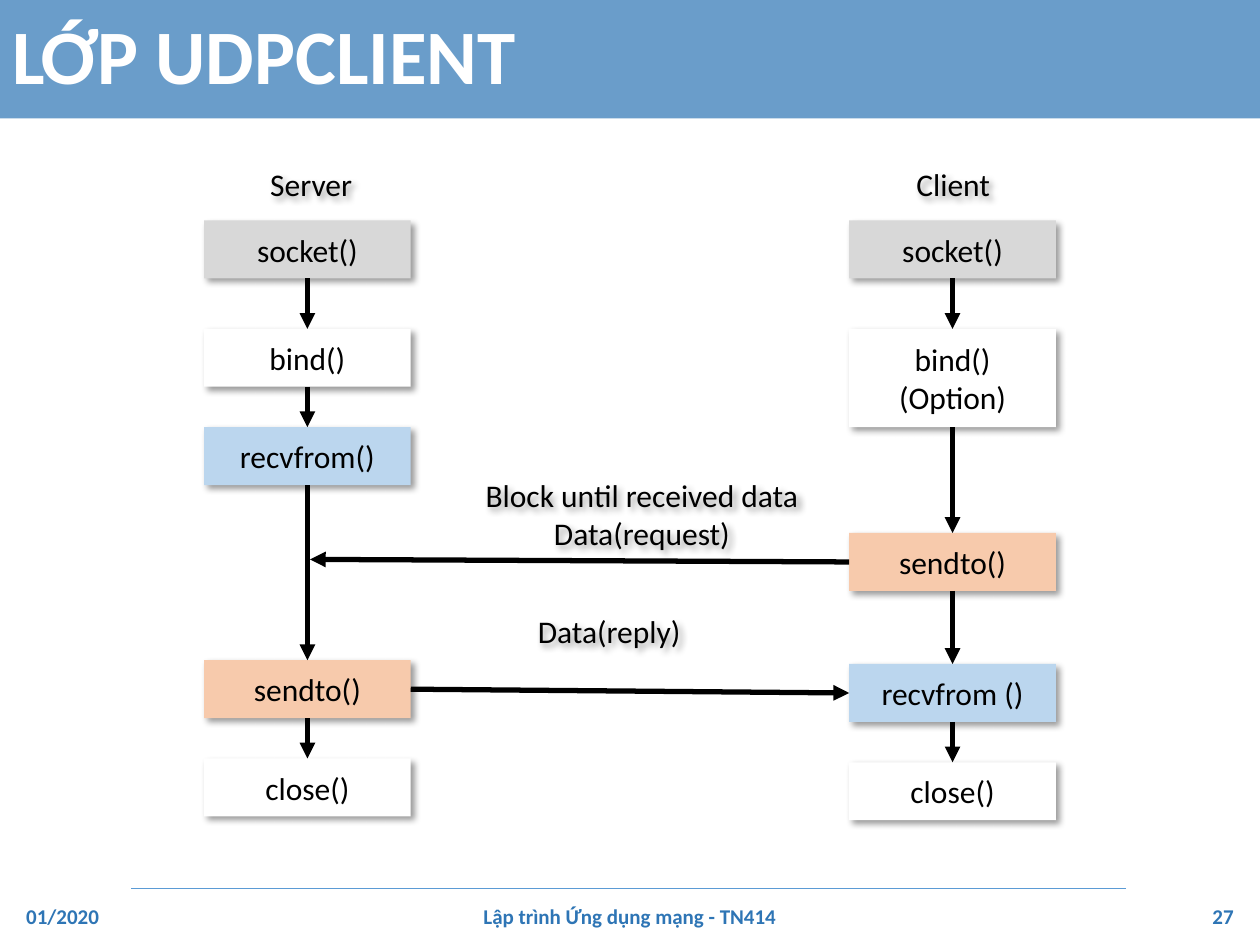
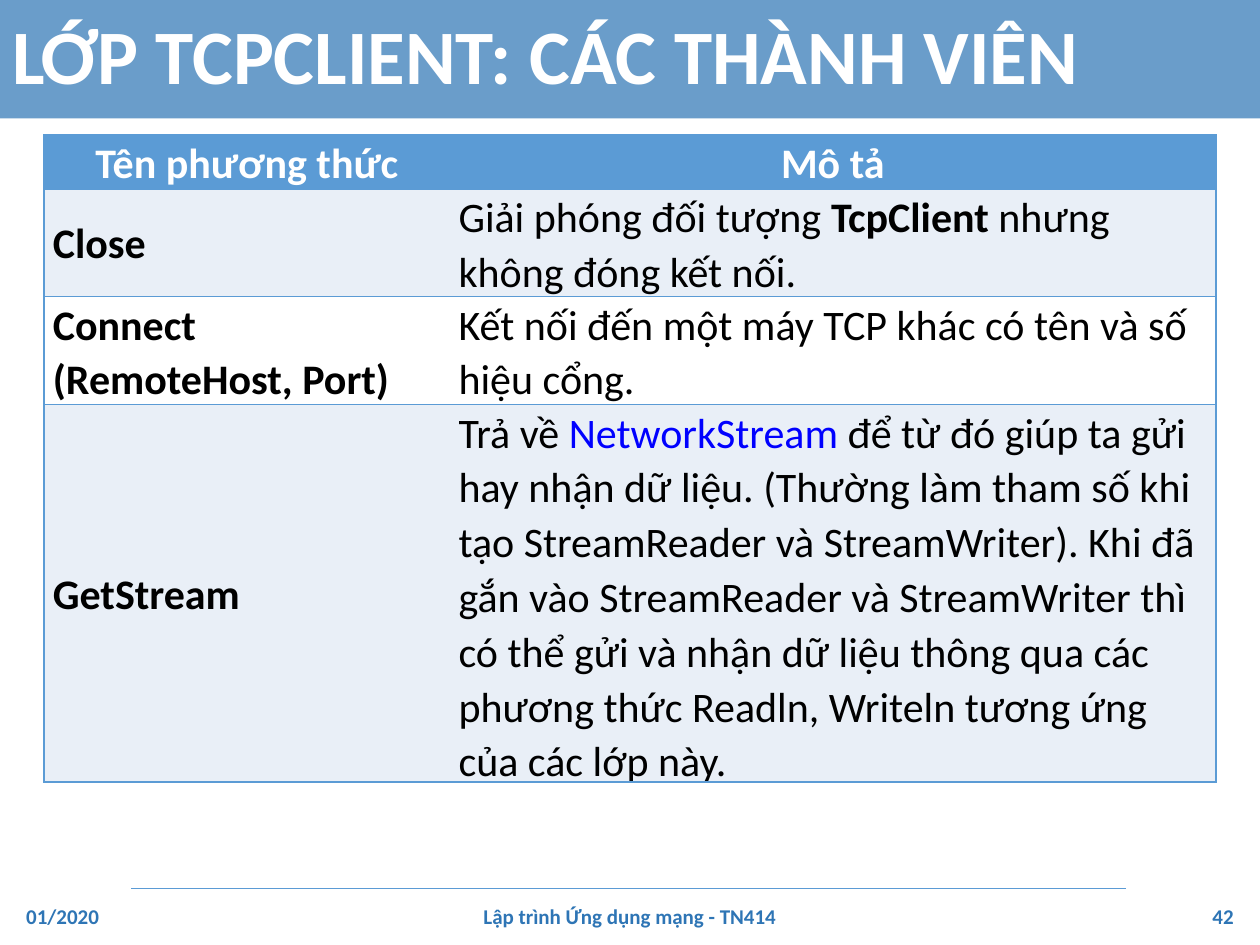
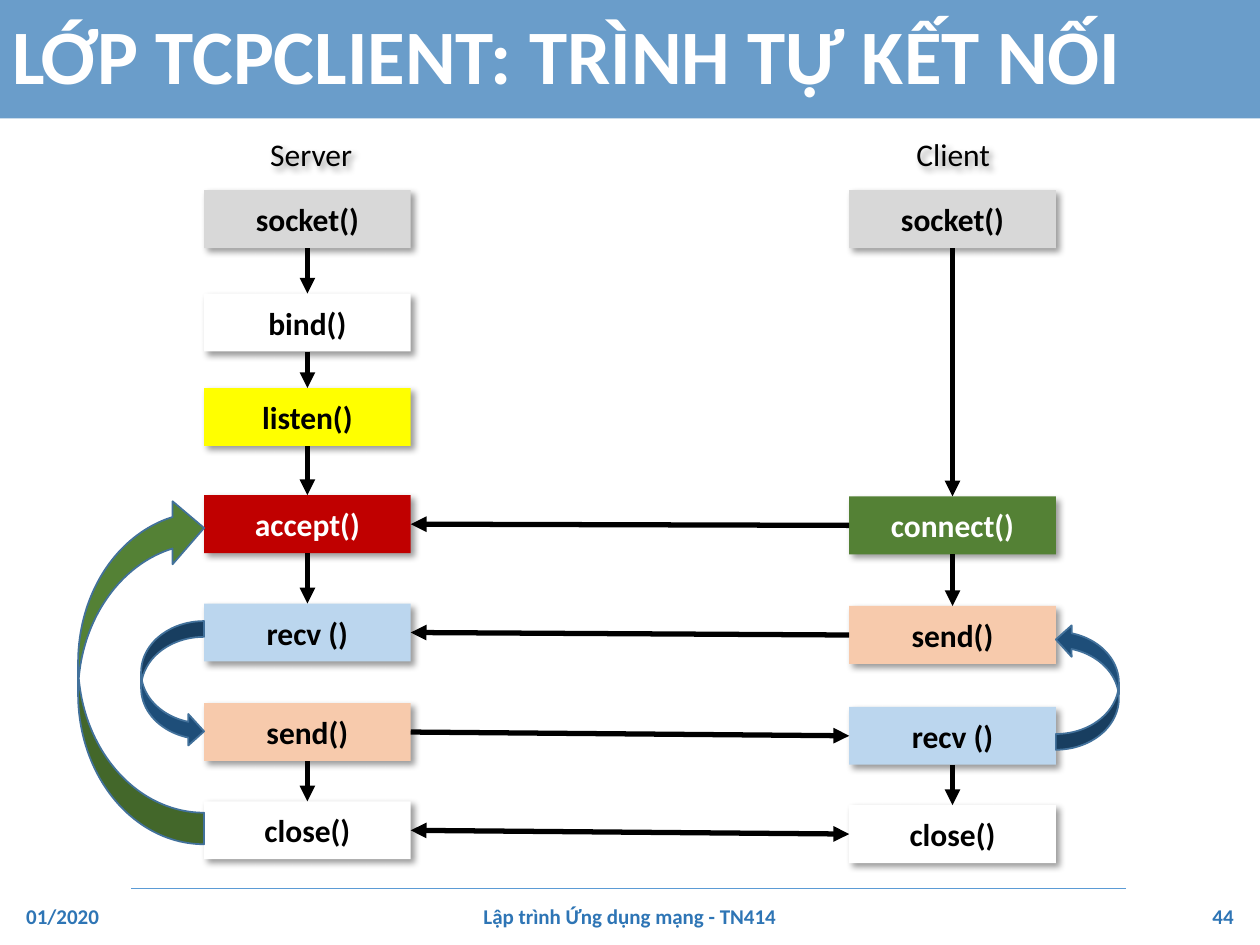
from lxml.etree import SubElement
from pptx import Presentation
from pptx.dml.color import RGBColor
from pptx.enum.shapes import MSO_CONNECTOR, MSO_SHAPE
from pptx.enum.text import MSO_ANCHOR, MSO_AUTO_SIZE, PP_ALIGN
from pptx.oxml.ns import qn
from pptx.util import Inches, Pt

FONT = "Calibri"
BLACK = RGBColor(0x00, 0x00, 0x00)
WHITE = RGBColor(0xFF, 0xFF, 0xFF)
BLUE = RGBColor(0x2E, 0x75, 0xB5)
SKY = RGBColor(0x5B, 0x9B, 0xD5)
PALE = RGBColor(0xE9, 0xEF, 0xF7)
LINK = RGBColor(0x00, 0x00, 0xFF)
GREY = RGBColor(0xD8, 0xD8, 0xD8)
ICE = RGBColor(0xBB, 0xD6, 0xEE)
PEACH = RGBColor(0xF7, 0xCA, 0xAC)
YELLOW = RGBColor(0xFF, 0xFF, 0x00)
RED = RGBColor(0xC0, 0x00, 0x00)
GREEN = RGBColor(0x54, 0x81, 0x35)
NAVY = RGBColor(0x1E, 0x4E, 0x79)
EDGE = RGBColor(0x42, 0x71, 0x9B)

TOP, LEFT, BOTTOM, RIGHT = range(4)
SERVER, CLIENT = 1.62, 6.74
WIDE, HIGH = 1.64, 0.46


class Deck:
    def __init__(self):
        self.prs = Presentation()
        self.prs.slide_width = Inches(10)
        self.prs.slide_height = Inches(7.5)
        self.slide = None

    def format(self, frame, size, color, bold=False, align=PP_ALIGN.LEFT, space=None):
        for para in frame.paragraphs:
            para.alignment = align
            para.line_spacing = space
            for run in para.runs:
                self.style(run.font, size, color, bold)

    def style(self, font, size, color, bold):
        font.name = FONT
        font.size = Pt(size)
        font.bold = bold
        font.color.rgb = color

    def start(self, title, number):
        self.slide = self.prs.slides.add_slide(self.prs.slide_layouts[5])
        self.rule()
        band = self.slide.shapes.title
        band.left, band.top = Inches(0), Inches(0)
        band.width, band.height = Inches(10), Inches(0.94)
        band.fill.solid()
        band.fill.fore_color.rgb = BLUE
        tint = next(band._element.spPr.iter(qn("a:srgbClr")))
        SubElement(tint, qn("a:alpha"), val="71000")
        frame = band.text_frame
        frame.text = title
        frame.auto_size = MSO_AUTO_SIZE.NONE
        frame.vertical_anchor = MSO_ANCHOR.MIDDLE
        self.format(frame, 44, WHITE, True, space=0.9)
        self.foot("01/2020", 0.11, 0.9, PP_ALIGN.LEFT)
        self.foot("Lập trình Ứng dụng mạng - TN414", 1.05, 7.9, PP_ALIGN.CENTER)
        self.foot(str(number), 8.99, 0.9, PP_ALIGN.RIGHT)

    def foot(self, text, left, width, align):
        box = self.slide.shapes.add_textbox(Inches(left), Inches(7.07), Inches(width), Inches(0.4))
        frame = box.text_frame
        frame.text = text
        frame.word_wrap = True
        frame.vertical_anchor = MSO_ANCHOR.MIDDLE
        self.format(frame, 12, BLUE, True, align)

    def line(self, start, end, color, weight):
        line = self.slide.shapes.add_connector(
            MSO_CONNECTOR.STRAIGHT, *(Inches(n) for n in (*start, *end)))
        line.line.color.rgb = color
        line.line.width = Pt(weight)
        SubElement(line._element.spPr, qn("a:effectLst"))
        return line

    def rule(self):
        self.line((1.04, 7.05), (8.94, 7.05), SKY, 0.75)

    def arrow(self, source, side, target=None, port=None, point=(0, 0), both=False):
        line = self.line(point, point, BLACK, 3)
        line.begin_connect(source, side)
        if target is not None:
            line.end_connect(target, port)
        stroke = line.line._get_or_add_ln()
        for end in ("a:headEnd", "a:tailEnd") if both else ("a:tailEnd",):
            SubElement(stroke, qn(end), type="triangle")

    def shade(self, shape):
        shape.shadow.inherit = False
        effects = shape._element.spPr.find(qn("a:effectLst"))
        shadow = SubElement(effects, qn("a:outerShdw"), blurRad="50800", dist="38100",
                            dir="2700000", algn="tl", rotWithShape="0")
        tint = SubElement(shadow, qn("a:srgbClr"), val="000000")
        SubElement(tint, qn("a:alpha"), val="40000")

    def label(self, text, left, top, width, height=0.4):
        box = self.slide.shapes.add_textbox(
            Inches(left), Inches(top), Inches(width), Inches(height))
        self.shade(box)
        frame = box.text_frame
        frame.text = text
        frame.word_wrap = False
        frame.auto_size = MSO_AUTO_SIZE.SHAPE_TO_FIT_TEXT
        self.format(frame, 18, BLACK, align=PP_ALIGN.CENTER)

    def step(self, text, left, top, fill, bold):
        height = 0.78 if "\n" in text else HIGH
        box = self.slide.shapes.add_shape(
            MSO_SHAPE.RECTANGLE, Inches(left), Inches(top), Inches(WIDE), Inches(height))
        box.fill.solid()
        box.fill.fore_color.rgb = fill
        box.line.fill.background()
        self.shade(box)
        frame = box.text_frame
        frame.text = text
        frame.vertical_anchor = MSO_ANCHOR.MIDDLE
        color = WHITE if fill in (RED, GREEN) else BLACK
        self.format(frame, 18, color, bold, PP_ALIGN.CENTER)
        return box

    def flow(self, left, steps, bold=False, gap=None):
        boxes = [self.step(text, left, top, fill, bold) for text, top, fill in steps]
        for index, (upper, lower) in enumerate(zip(boxes, boxes[1:])):
            if index != gap:
                self.arrow(upper, BOTTOM, lower, TOP)
        return boxes

    def heads(self, top):
        self.label("Server", 2.04, top, 0.86)
        self.label("Client", 7.17, top, 0.79)

    def loop(self, left, top, width, height, fill, turn=0, flip=False):
        bend = self.slide.shapes.add_shape(
            MSO_SHAPE.CURVED_RIGHT_ARROW, Inches(left), Inches(top), Inches(width), Inches(height))
        bend.shadow.inherit = False
        bend.adjustments[0], bend.adjustments[1], bend.adjustments[2] = 0.25, 0.5, 0.25
        bend.fill.solid()
        bend.fill.fore_color.rgb = fill
        bend.line.color.rgb = EDGE
        bend.line.width = Pt(1)
        bend.rotation = turn
        if flip:
            bend._element.spPr.find(qn("a:xfrm")).set("flipH", "1")

    def border(self, cell, first):
        props = cell._tc.get_or_add_tcPr()
        drawn = ("a:lnL" if first else "a:lnR", "a:lnT", "a:lnB")
        for side in ("a:lnL", "a:lnR", "a:lnT", "a:lnB"):
            edge = SubElement(props, qn(side), w=str(Pt(1)))
            if side in drawn:
                paint = SubElement(edge, qn("a:solidFill"))
                SubElement(paint, qn("a:srgbClr"), val=str(SKY))
            else:
                SubElement(edge, qn("a:noFill"))

    def table(self, rows, left, top, widths, height):
        table = self.slide.shapes.add_table(
            len(rows), len(widths), Inches(left), Inches(top),
            Inches(sum(widths)), Inches(height * len(rows))).table
        table.first_row = table.horz_banding = False
        for col, width in zip(table.columns, widths):
            col.width = Inches(width)
        for r, row in enumerate(rows):
            table.rows[r].height = Inches(height)
            fill = SKY if r == 0 else PALE if r % 2 else WHITE
            for c, runs in enumerate(row):
                cell = table.cell(r, c)
                self.border(cell, c == 0)
                cell.fill.solid()
                cell.fill.fore_color.rgb = fill
                cell.vertical_anchor = MSO_ANCHOR.MIDDLE
                cell.margin_left = cell.margin_right = Inches(0.07)
                cell.margin_top = cell.margin_bottom = Inches(0)
                para = cell.text_frame.paragraphs[0]
                para.alignment = PP_ALIGN.LEFT if r else PP_ALIGN.CENTER
                para.line_spacing = 1.07
                for text, bold, color in runs:
                    run = para.add_run()
                    run.text = text
                    self.style(run.font, 24, color, bold)


def udp(deck):
    deck.start("LỚP UDPCLIENT", 27)
    deck.heads(1.26)
    server = deck.flow(SERVER, [
        ("socket()", 1.75, GREY), ("bind()", 2.61, WHITE), ("recvfrom()", 3.39, ICE),
        ("sendto()", 5.24, PEACH), ("close()", 6.02, WHITE)])
    client = deck.flow(CLIENT, [
        ("socket()", 1.75, GREY), ("bind()\n(Option)", 2.61, WHITE), ("sendto()", 4.23, PEACH),
        ("recvfrom ()", 5.27, ICE), ("close()", 6.05, WHITE)])
    deck.label("Block until received data\nData(request)", 3.74, 3.73, 2.71, 0.71)
    deck.label("Data(reply)", 4.16, 4.81, 1.35)
    deck.arrow(client[2], LEFT, point=(2.46, 4.44))
    deck.arrow(server[3], RIGHT, client[3], LEFT)


def members(deck):
    deck.start("LỚP TCPCLIENT: CÁC THÀNH VIÊN", 42)
    rows = [
        [[("Tên phương thức", True, WHITE)], [("Mô tả", True, WHITE)]],
        [[("Close", True, BLACK)],
         [("Giải phóng đối tượng ", False, BLACK), ("TcpClient ", True, BLACK),
          ("nhưng không đóng kết nối.", False, BLACK)]],
        [[("Connect (RemoteHost, Port)", True, BLACK)],
         [("Kết nối đến một máy TCP khác có tên và số hiệu cổng.", False, BLACK)]],
        [[("GetStream", True, BLACK)],
         [("Trả về ", False, BLACK), ("NetworkStream ", False, LINK),
          ("để từ đó giúp ta gửi hay nhận dữ liệu. (Thường làm tham số khi tạo "
           "StreamReader và StreamWriter). Khi đã gắn vào StreamReader và StreamWriter "
           "thì có thể gửi và nhận dữ liệu thông qua các phương thức Readln, Writeln "
           "tương ứng của các lớp này.", False, BLACK)]],
    ]
    deck.table(rows, 0.35, 1.07, (3.22, 6.08), 0.35)


def tcp(deck):
    deck.start("LỚP TCPCLIENT: TRÌNH TỰ KẾT NỐI", 44)
    deck.heads(1.02)
    server = deck.flow(SERVER, [
        ("socket()", 1.51, GREY), ("bind()", 2.33, WHITE), ("listen()", 3.08, YELLOW),
        ("accept()", 3.93, RED), ("recv ()", 4.79, ICE), ("send()", 5.58, PEACH),
        ("close()", 6.36, WHITE)], True, gap=4)
    client = deck.flow(CLIENT, [
        ("socket()", 1.51, GREY), ("connect()", 3.94, GREEN), ("send()", 4.81, PEACH),
        ("recv ()", 5.61, ICE), ("close()", 6.39, WHITE)], True, gap=2)
    deck.arrow(client[1], LEFT, server[3], RIGHT)
    deck.arrow(client[2], LEFT, server[4], RIGHT)
    deck.arrow(server[5], RIGHT, client[3], LEFT)
    deck.arrow(server[6], RIGHT, client[4], LEFT, both=True)
    deck.loop(1.12, 4.93, 0.5, 1, NAVY)
    deck.loop(8.38, 4.95, 0.5, 1, NAVY, turn=180)
    deck.loop(0.62, 3.94, 1, 2.76, GREEN, turn=180, flip=True)


def main():
    deck = Deck()
    udp(deck)
    members(deck)
    tcp(deck)
    deck.prs.save("out.pptx")


if __name__ == "__main__":
    main()
